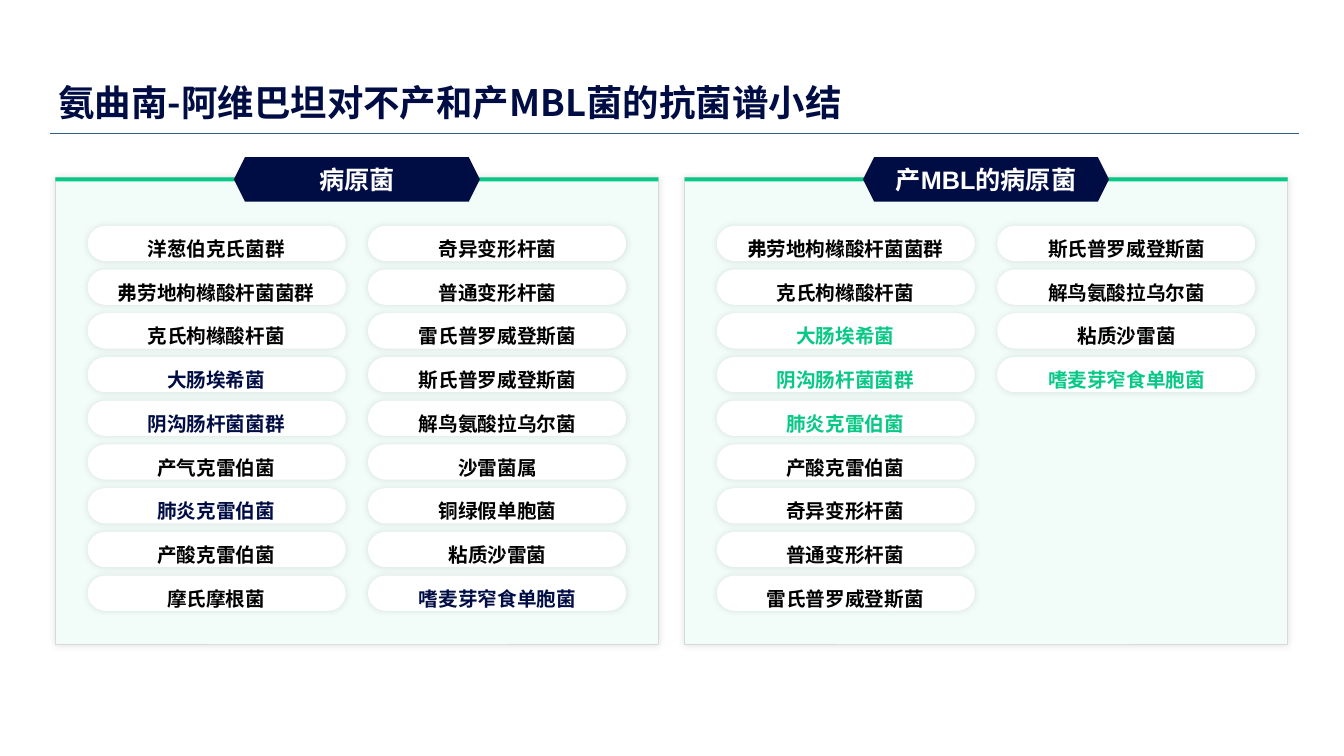
from lxml.etree import SubElement
from pptx import Presentation
from pptx.dml.color import RGBColor
from pptx.enum.shapes import MSO_CONNECTOR, MSO_SHAPE
from pptx.enum.text import MSO_ANCHOR, MSO_AUTO_SIZE, PP_ALIGN
from pptx.oxml.ns import qn
from pptx.util import Inches, Pt

NAVY = RGBColor(0x00, 0x0D, 0x45)
GREEN = RGBColor(0x08, 0xC8, 0x86)
MINT = RGBColor(0xF2, 0xFC, 0xF9)
GREY = RGBColor(0xD9, 0xD9, 0xD9)
RULE = RGBColor(0x37, 0x5D, 0x8B)
WHITE = RGBColor(0xFF, 0xFF, 0xFF)
BLACK = RGBColor(0x00, 0x00, 0x00)

CJK_FONT = "Noto Sans CJK SC"

PANEL_TOP, PANEL_WIDTH, PANEL_HEIGHT = 1.76, 5.98, 4.63
HEADER_WIDTH, HEADER_HEIGHT = 2.44, 0.44
ROWS = 9
ROW_TOP, ROW_PITCH = 2.24, 3.47 / 8
PILL_WIDTH, PILL_HEIGHT = 2.56, 0.35
PILL_INSET, COLUMN_PITCH, COLUMN_GAP = 0.32, 2.78, 0.24

PATHOGENS = [
    "洋葱伯克氏菌群", "弗劳地枸橼酸杆菌菌群", "克氏枸橼酸杆菌",
    "大肠埃希菌", "阴沟肠杆菌菌群", "产气克雷伯菌",
    "肺炎克雷伯菌", "产酸克雷伯菌", "摩氏摩根菌",
    "奇异变形杆菌", "普通变形杆菌", "雷氏普罗威登斯菌",
    "斯氏普罗威登斯菌", "解鸟氨酸拉乌尔菌", "沙雷菌属",
    "铜绿假单胞菌", "粘质沙雷菌", "嗜麦芽窄食单胞菌",
]
MBL_PATHOGENS = [
    "弗劳地枸橼酸杆菌菌群", "克氏枸橼酸杆菌", "大肠埃希菌",
    "阴沟肠杆菌菌群", "肺炎克雷伯菌", "产酸克雷伯菌",
    "奇异变形杆菌", "普通变形杆菌", "雷氏普罗威登斯菌",
    "斯氏普罗威登斯菌", "解鸟氨酸拉乌尔菌", "粘质沙雷菌",
    "嗜麦芽窄食单胞菌",
]
HIGHLIGHTED = {"大肠埃希菌", "阴沟肠杆菌菌群", "肺炎克雷伯菌", "嗜麦芽窄食单胞菌"}


def write(para, text, size, color, font=CJK_FONT, align=PP_ALIGN.CENTER, spacing=None):
    para.alignment = align
    para.line_spacing = spacing
    span = para.add_run()
    span.text = text
    span.font.size = Pt(size)
    span.font.bold = True
    span.font.name = font
    span.font.color.rgb = color
    SubElement(span.font._element, qn("a:ea"), typeface=CJK_FONT)


def clear_insets(frame):
    frame.margin_left = frame.margin_right = 0
    frame.margin_top = frame.margin_bottom = 0


def add_soft_shadow(shape, opacity):
    """Give the shape a centred black glow of 5 points."""
    shape.shadow.inherit = False
    effects = shape._element.spPr.find(qn("a:effectLst"))
    shadow = SubElement(effects, qn("a:outerShdw"), blurRad=str(Pt(5)),
                        dist="0", dir="0", algn="ctr", rotWithShape="0")
    color = SubElement(shadow, qn("a:srgbClr"), val=str(BLACK))
    SubElement(color, qn("a:alpha"), val=str(opacity * 1000))


def add_block(page, kind, left, top, width, height, fill):
    shape = page.shapes.add_shape(
        kind, Inches(left), Inches(top), Inches(width), Inches(height))
    shape.shadow.inherit = False
    shape.fill.solid()
    shape.fill.fore_color.rgb = fill
    shape.line.fill.background()
    return shape


def add_title(page, text):
    title = page.shapes.title
    title.left, title.top = Inches(0.48), Inches(0.64)
    title.width, title.height = Inches(10.3), Inches(0.64)
    frame = title.text_frame
    frame.auto_size = MSO_AUTO_SIZE.NONE
    frame.vertical_anchor = MSO_ANCHOR.BOTTOM
    write(frame.paragraphs[0], text, 26, NAVY, align=PP_ALIGN.LEFT, spacing=0.9)


def add_rule(page):
    rule = page.shapes.add_connector(
        MSO_CONNECTOR.STRAIGHT, Inches(0.5), Inches(1.32), Inches(12.88), Inches(1.32))
    rule.line.color.rgb = RULE
    rule.line.width = Pt(0.75)
    SubElement(rule._element.spPr, qn("a:effectLst"))


def add_header(page, panel_left, text):
    header = add_block(page, MSO_SHAPE.HEXAGON,
                       panel_left + (PANEL_WIDTH - HEADER_WIDTH) / 2, 1.56,
                       HEADER_WIDTH, HEADER_HEIGHT, NAVY)
    frame = header.text_frame
    clear_insets(frame)
    frame.vertical_anchor = MSO_ANCHOR.MIDDLE
    write(frame.paragraphs[0], text, 18, WHITE, font="Arial")


def add_names(page, left, names, highlight):
    """Set the names in a two-column box, one line to each pill."""
    box = page.shapes.add_textbox(
        Inches(left), Inches(2.15), Inches(COLUMN_PITCH + PILL_WIDTH), Inches(3.98))
    frame = box.text_frame
    frame.word_wrap = True
    clear_insets(frame)
    settings = frame._txBody.bodyPr
    settings.set("numCol", "2")
    settings.set("spcCol", str(Inches(COLUMN_GAP)))
    for index, name in enumerate(names):
        para = frame.add_paragraph() if index else frame.paragraphs[0]
        write(para, name, 14, highlight if name in HIGHLIGHTED else BLACK,
              spacing=Inches(ROW_PITCH))


def add_panel(page, left, heading, names, highlight):
    panel = add_block(page, MSO_SHAPE.RECTANGLE, left, PANEL_TOP,
                      PANEL_WIDTH, PANEL_HEIGHT, MINT)
    panel.line.color.rgb = GREY
    panel.line.width = Pt(0.25)
    add_soft_shadow(panel, 12)
    add_block(page, MSO_SHAPE.RECTANGLE, left, PANEL_TOP, PANEL_WIDTH, 0.04, GREEN)
    add_header(page, left, heading)
    for index in range(len(names)):
        column, row = divmod(index, ROWS)
        pill = add_block(page, MSO_SHAPE.ROUNDED_RECTANGLE,
                         left + PILL_INSET + column * COLUMN_PITCH,
                         ROW_TOP + row * ROW_PITCH, PILL_WIDTH, PILL_HEIGHT, WHITE)
        pill.adjustments[0] = 0.5
        add_soft_shadow(pill, 10)
    add_names(page, left + PILL_INSET, names, highlight)


def main():
    deck = Presentation()
    deck.slide_width, deck.slide_height = Inches(13.33), Inches(7.5)
    page = deck.slides.add_slide(deck.slide_layouts[5])
    add_rule(page)
    add_title(page, "氨曲南-阿维巴坦对不产和产MBL菌的抗菌谱小结")
    add_panel(page, 0.55, "病原菌", PATHOGENS, NAVY)
    add_panel(page, 6.79, "产MBL的病原菌", MBL_PATHOGENS, GREEN)
    deck.save("out.pptx")


if __name__ == "__main__":
    main()
